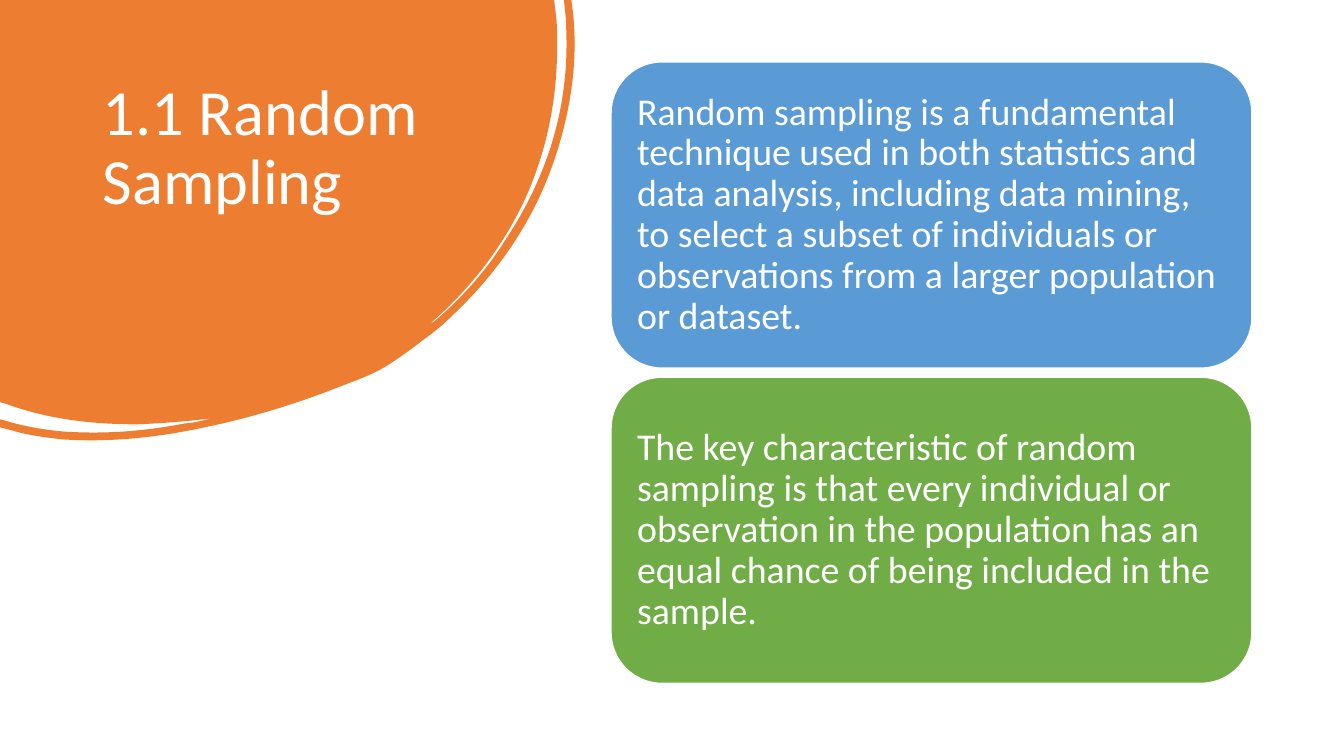
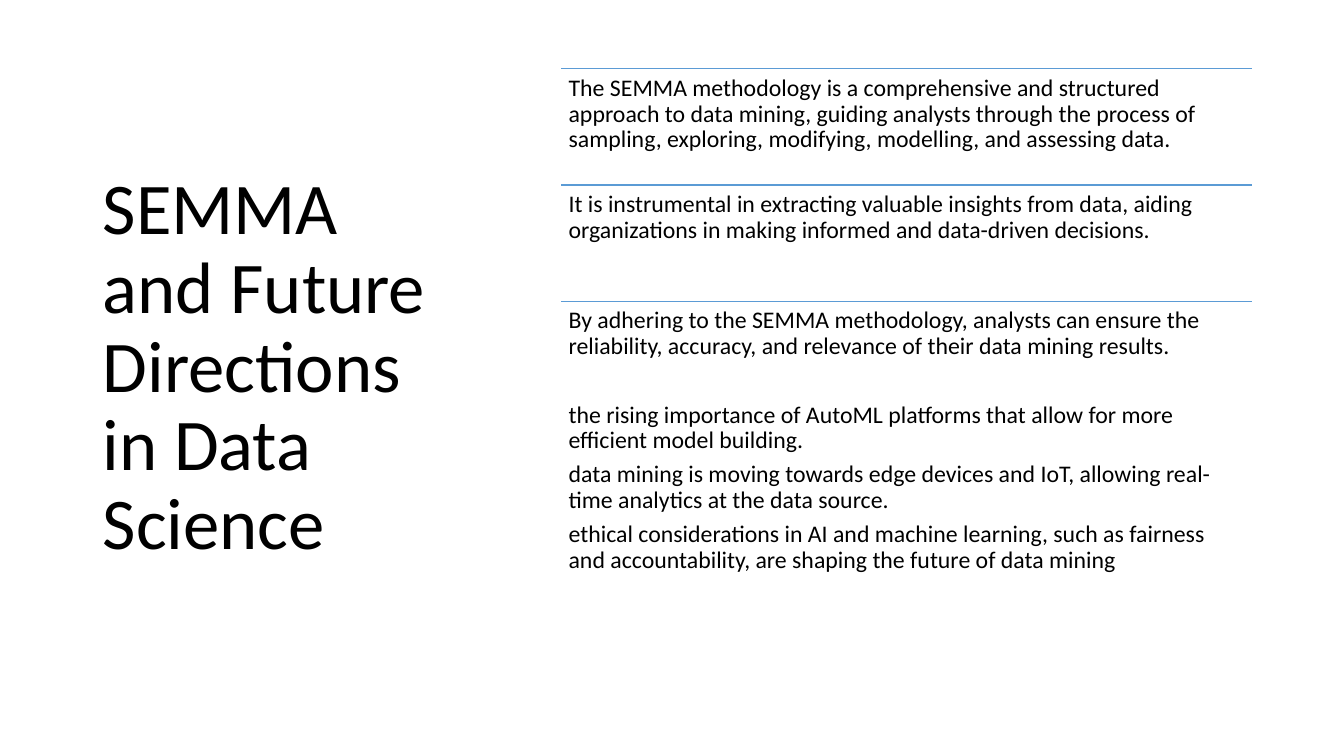
from lxml.etree import SubElement
from pptx import Presentation
from pptx.dml.color import RGBColor
from pptx.enum.shapes import MSO_CONNECTOR, MSO_SHAPE
from pptx.enum.text import MSO_ANCHOR, PP_ALIGN
from pptx.oxml.ns import qn
from pptx.util import Cm, Pt

# Shared look
WHITE = RGBColor(0xFF, 0xFF, 0xFF)
BLACK = RGBColor(0x00, 0x00, 0x00)
ORANGE = RGBColor(0xED, 0x7D, 0x31)
BLUE = RGBColor(0x5B, 0x9B, 0xD5)
GREEN = RGBColor(0x70, 0xAD, 0x47)
FONT = "Calibri"
PARAGRAPH_FORMAT = {"line_spacing": 0.9, "alignment": PP_ALIGN.LEFT}
ROW_GAP = Pt(6)
SECTION_GAP = Pt(30.5)

# Brush blob outline on a grid: one point is a straight step, three are a curve
BLOB_GRID = (571, 437)
BLOB_START = (0, 0)
BLOB_STEPS = [
    [(550, 0)], [(552, 17)],
    [(553, 26), (553, 36), (553, 45)],
    [(553, 101), (542, 154), (518, 204)],
    [(496, 249), (465, 288), (427, 321)],
    [(429, 321), (430, 319), (432, 318)],
    [(459, 295), (482, 269), (501, 239)],
    [(543, 176), (565, 107), (562, 30)],
    [(562, 21), (561, 12), (560, 3)],
    [(560, 0)], [(567, 0)], [(568, 7)],
    [(574, 54), (568, 102), (553, 150)],
    [(533, 214), (497, 268), (448, 314)],
    [(439, 323), (429, 331), (419, 338)],
    [(409, 346), (399, 353), (387, 361)],
    [(375, 369), (360, 375), (344, 381)],
    [(299, 399), (252, 414), (203, 424)],
    [(157, 434), (110, 439), (63, 436)],
    [(45, 434), (28, 432), (12, 427)],
    [(0, 424)], [(0, 416)], [(4, 417)],
    [(23, 423), (42, 426), (61, 428)],
    [(103, 431), (143, 428), (184, 420)],
    [(189, 420), (193, 419), (198, 418)],
    [(202, 417), (206, 416), (210, 415)],
    [(186, 418), (161, 420), (136, 421)],
    [(92, 421), (48, 416), (7, 401)],
    [(0, 399)],
]

RANDOM_CARDS = [
    (BLUE, "Random sampling is a fundamental technique used in both statistics "
           "and data analysis, including data mining, to select a subset of "
           "individuals or observations from a larger population or dataset."),
    (GREEN, "The key characteristic of random sampling is that every individual "
            "or observation in the population has an equal chance of being "
            "included in the sample."),
]
SEMMA_ROWS = [
    ["The SEMMA methodology is a comprehensive and structured approach to data "
     "mining, guiding analysts through the process of sampling, exploring, "
     "modifying, modelling, and assessing data."],
    ["It is instrumental in extracting valuable insights from data, aiding "
     "organizations in making informed and data-driven decisions."],
    ["By adhering to the SEMMA methodology, analysts can ensure the reliability, "
     "accuracy, and relevance of their data mining results.",
     "the rising importance of AutoML platforms that allow for more efficient "
     "model building.",
     "data mining is moving towards edge devices and IoT, allowing real-time "
     "analytics at the data source.",
     "ethical considerations in AI and machine learning, such as fairness and "
     "accountability, are shaping the future of data mining"],
]


def set_all(target, values):
    for name, value in values.items():
        setattr(target, name, value)


def write(shape, lines, size, color, anchor=MSO_ANCHOR.TOP, inset=None):
    """Fill a shape with paragraphs and return them."""
    frame = shape.text_frame
    set_all(frame, {"word_wrap": True, "vertical_anchor": anchor})
    if inset is not None:
        sides = ("margin_left", "margin_top", "margin_right", "margin_bottom")
        set_all(frame, dict.fromkeys(sides, inset))
    frame.text = "\n".join(lines)
    for paragraph in frame.paragraphs:
        set_all(paragraph, PARAGRAPH_FORMAT)
        set_all(paragraph.font, {"name": FONT, "size": Pt(size)})
        paragraph.font.color.rgb = color
    return frame.paragraphs


def add_title(slide, box, title, size, color, anchor=MSO_ANCHOR.TOP):
    write(slide.shapes.add_textbox(*box), [title], size, color, anchor)


def paint(shape, color):
    shape.shadow.inherit = False
    shape.fill.solid()
    shape.fill.fore_color.rgb = color


def bend(outline, steps):
    """Join the three straight pieces of each curved step into one curve."""
    pieces = iter(outline.findall(qn("a:lnTo")))
    for step in steps:
        group = [next(pieces) for _ in step]
        if len(group) == 3:
            curve = SubElement(outline, qn("a:cubicBezTo"))
            group[0].addprevious(curve)
            for piece in group:
                curve.append(piece[0])
                outline.remove(piece)


def add_blob(slide, left, top, width, height):
    columns, rows = BLOB_GRID
    builder = slide.shapes.build_freeform(
        *BLOB_START, scale=(width / columns, height / rows))
    builder.add_line_segments([point for step in BLOB_STEPS for point in step])
    blob = builder.convert_to_shape(left, top)
    outline = next(blob._element.iter(qn("a:path")))
    bend(outline, BLOB_STEPS)
    # Curve handles reach past the box, so the box is set to the drawn extent
    for side, length in zip("wh", BLOB_GRID):
        outline.set(side, str(length))
    set_all(blob, {"width": width, "height": height})
    paint(blob, ORANGE)
    blob.line.fill.background()


def add_cards(slide, left, top, width, height, gap, cards):
    """Stack of equal rounded cards."""
    card_height = int((height - gap * (len(cards) - 1)) / len(cards))
    for index, (color, text) in enumerate(cards):
        card = slide.shapes.add_shape(
            MSO_SHAPE.ROUNDED_RECTANGLE, left,
            top + index * (card_height + gap), width, card_height)
        paint(card, color)
        card.line.color.rgb = WHITE
        card.line.width = Pt(1)
        write(card, [text], 27, WHITE, MSO_ANCHOR.MIDDLE, Cm(0.28))


def add_rule(slide, left, top, width):
    rule = slide.shapes.add_connector(
        MSO_CONNECTOR.STRAIGHT, left, top, left + width, top)
    rule.line.color.rgb = BLUE
    rule.line.width = Pt(1)
    SubElement(rule._element.spPr, qn("a:effectLst"))


def add_ruled_rows(slide, left, top, width, height, pitch, rows):
    """Rows under a rule each; the last one takes the remaining height."""
    for index, lines in enumerate(rows):
        row_top = top + index * pitch
        is_last = index == len(rows) - 1
        row_height = top + height - row_top if is_last else pitch
        add_rule(slide, left, row_top, width)
        row = slide.shapes.add_textbox(left, row_top, width, row_height)
        paragraphs = write(row, lines, 17, BLACK, inset=Cm(0.18))
        for paragraph in paragraphs:
            paragraph.space_after = ROW_GAP
        if len(lines) > 1:
            paragraphs[0].space_after = SECTION_GAP


def build_random_sampling(slide):
    add_blob(slide, 0, 0, Cm(14.5), Cm(11.1))
    add_title(slide, (Cm(2.34), Cm(1.88), Cm(8.94), Cm(5.64)),
              "1.1 Random Sampling", 46, WHITE)
    add_cards(slide, Cm(15.4), Cm(1.56), Cm(16.15), Cm(15.66), Cm(0.23),
              RANDOM_CARDS)


def build_semma(slide):
    add_title(slide, (Cm(2.34), Cm(1.55), Cm(9.37), Cm(15.47)),
              "SEMMA and Future Directions in Data Science", 52, BLACK,
              MSO_ANCHOR.MIDDLE)
    add_ruled_rows(slide, Cm(14.15), Cm(1.73), Cm(17.4), Cm(15.27), Cm(2.93),
                   SEMMA_ROWS)


def main():
    deck = Presentation()
    set_all(deck, {"slide_width": Cm(33.87), "slide_height": Cm(19.05)})
    for build in (build_random_sampling, build_semma):
        build(deck.slides.add_slide(deck.slide_layouts[6]))
    deck.save("out.pptx")


if __name__ == "__main__":
    main()
